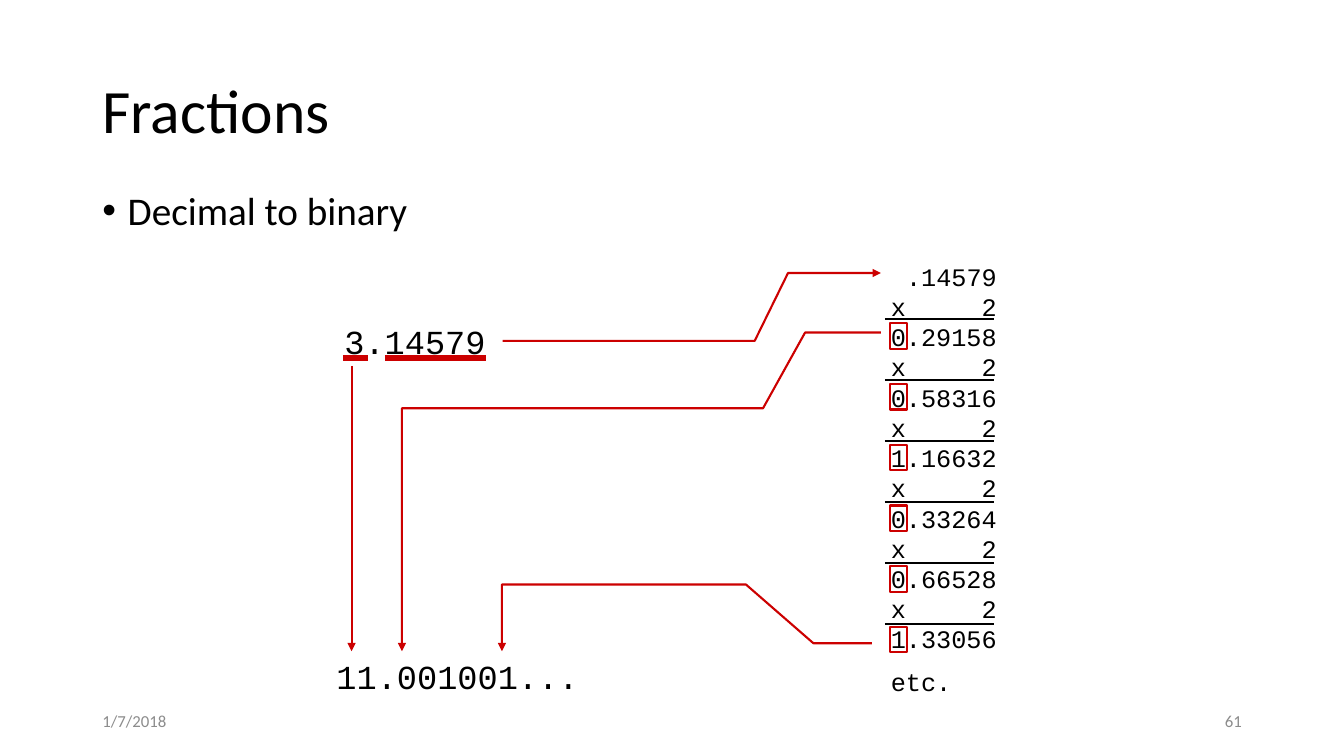
from lxml.etree import SubElement
from pptx import Presentation
from pptx.dml.color import RGBColor
from pptx.enum.shapes import MSO_CONNECTOR, MSO_SHAPE
from pptx.enum.text import MSO_ANCHOR, PP_ALIGN
from pptx.oxml.ns import qn
from pptx.util import Cm, Pt

BLACK = RGBColor(0x00, 0x00, 0x00)
RED = RGBColor(0xCC, 0x00, 0x00)
GREY = RGBColor(0x8C, 0x8C, 0x8C)

TITLE = {"name": "Calibri", "size": Pt(44)}
BODY = {"name": "Calibri", "size": Pt(28)}
FOOTER = {"name": "Calibri", "size": Pt(12)}
NUMBER = {"name": "Courier New", "size": Pt(24)}
STEP = {"name": "Courier New", "size": Pt(18)}

PRODUCTS = ["0.29158", "0.58316", "1.16632", "0.33264", "0.66528", "1.33056"]


def set_all(obj, values):
    for name, value in values.items():
        setattr(obj, name, value)


def add_text(s, box, paragraphs, font, color=BLACK, anchor=MSO_ANCHOR.TOP, **para):
    """Add a text box and return its paragraphs."""
    tf = s.shapes.add_textbox(*map(Cm, box)).text_frame
    set_all(tf, {"word_wrap": True, "vertical_anchor": anchor})
    for i, text in enumerate(paragraphs):
        p = tf.paragraphs[0] if i == 0 else tf.add_paragraph()
        p.text = text
        set_all(p, para)
        for r in p.runs:
            set_all(r.font, font)
            r.font.color.rgb = color
    return tf.paragraphs


def add_bullet(p, indent):
    pPr = p._p.get_or_add_pPr()
    pPr.set("marL", str(indent))
    pPr.set("indent", str(-indent))
    SubElement(pPr, qn("a:buFont"), typeface="Arial")
    SubElement(pPr, qn("a:buChar"), char="•")


def add_right_tab(p, position):
    tabs = SubElement(p._p.get_or_add_pPr(), qn("a:tabLst"))
    SubElement(tabs, qn("a:tab"), pos=str(position), algn="r")


def add_arrowhead(sp):
    ln = sp.element.spPr.find(qn("a:ln"))
    SubElement(ln, qn("a:tailEnd"), type="triangle")


def style_line(sp, color, width):
    sp.line.color.rgb = color
    sp.line.width = Pt(width)


def add_line(s, start, end, color, width=1.5):
    sp = s.shapes.add_connector(MSO_CONNECTOR.STRAIGHT, *map(Cm, start + end))
    style_line(sp, color, width)
    SubElement(sp.element.spPr, qn("a:effectLst"))
    return sp


def add_bent_arrow(s, points):
    points = [(Cm(x), Cm(y)) for x, y in points]
    builder = s.shapes.build_freeform(*points[0])
    builder.add_line_segments(points[1:], close=False)
    sp = builder.convert_to_shape()
    sp.fill.background()
    sp.shadow.inherit = False
    style_line(sp, RED, 1.5)
    add_arrowhead(sp)


def add_digit_box(s, left, top):
    sp = s.shapes.add_shape(MSO_SHAPE.RECTANGLE, Cm(left), Cm(top), Cm(0.43), Cm(0.64))
    sp.fill.background()
    sp.shadow.inherit = False
    style_line(sp, RED, 1.5)


def main():
    prs = Presentation()
    set_all(prs, {"slide_width": Cm(33.87), "slide_height": Cm(19.05)})
    s = prs.slides.add_slide(prs.slide_layouts[6])

    # Title and bullet
    add_text(s, (2.33, 1.02, 29.21, 3.68), ["Fractions"], TITLE,
             anchor=MSO_ANCHOR.MIDDLE, line_spacing=0.9)
    bullet = add_text(s, (2.33, 4.7, 29.21, 12.47), ["Decimal to binary"], BODY,
                      line_spacing=0.9, space_before=Pt(10))
    add_bullet(bullet[0], Cm(0.64))

    # Decimal number and its binary result
    add_text(s, (8.43, 7.95, 4.11, 1.27), ["3.14579"], NUMBER)
    add_text(s, (8.23, 16.41, 7.42, 1.27), ["11.001001..."], NUMBER)
    for left, right in ((9.7, 12.24), (8.64, 9.27)):
        add_line(s, (left, 9.02), (right, 9.02), RED, 4.5)

    # Repeated doubling, with the integer digits boxed
    doubling = "\nx\t2\n".join(["\t.14579"] + PRODUCTS)
    steps = add_text(s, (22.2, 6.45, 4.11, 11.33), [doubling, "etc."], STEP)
    steps[1].space_before = Pt(9)
    add_right_tab(steps[0], Cm(2.67))
    for i in range(len(PRODUCTS)):
        rule_y = 8.03 + 1.54 * i
        add_line(s, (22.3, rule_y), (25.05, rule_y), BLACK)
        add_digit_box(s, 22.43, 8.15 + 1.53 * i)

    # Arrows from each part to where it goes
    add_arrowhead(add_line(s, (8.86, 9.22), (8.86, 16.41), RED))
    add_bent_arrow(s, [(12.67, 8.59), (19.02, 8.59), (19.86, 6.88), (22.2, 6.88)])
    add_bent_arrow(s, [(22.2, 8.38), (20.29, 8.38), (19.23, 10.29),
                       (10.13, 10.29), (10.13, 16.41)])
    add_bent_arrow(s, [(21.97, 16.21), (20.5, 16.21), (18.8, 14.73),
                       (12.65, 14.73), (12.65, 16.41)])

    # Footer
    for left, text, align in ((2.33, "1/7/2018", PP_ALIGN.LEFT),
                              (23.93, "61", PP_ALIGN.RIGHT)):
        add_text(s, (left, 17.65, 7.62, 1.02), [text], FOOTER, GREY,
                 MSO_ANCHOR.MIDDLE, alignment=align)

    prs.save("out.pptx")


if __name__ == "__main__":
    main()
